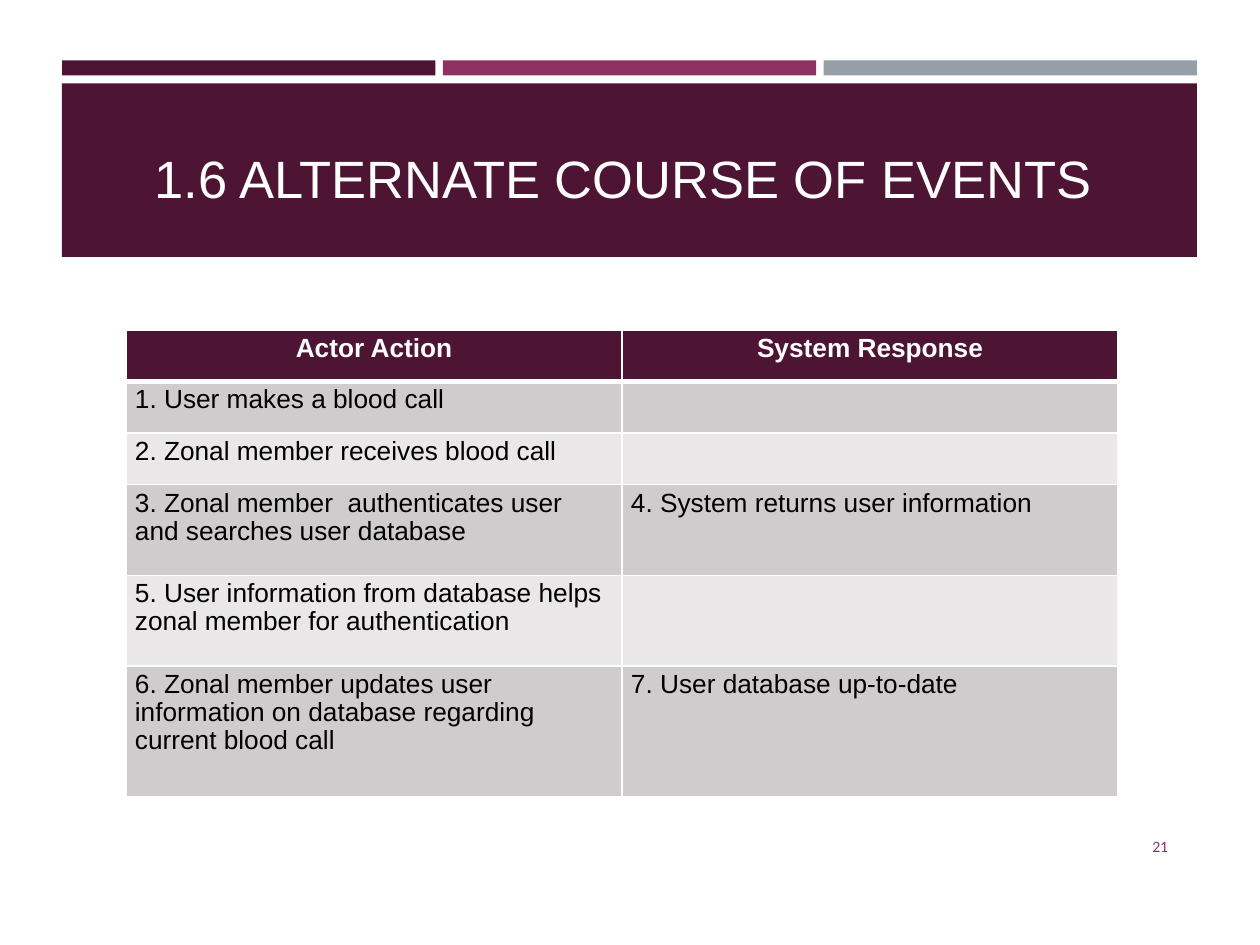
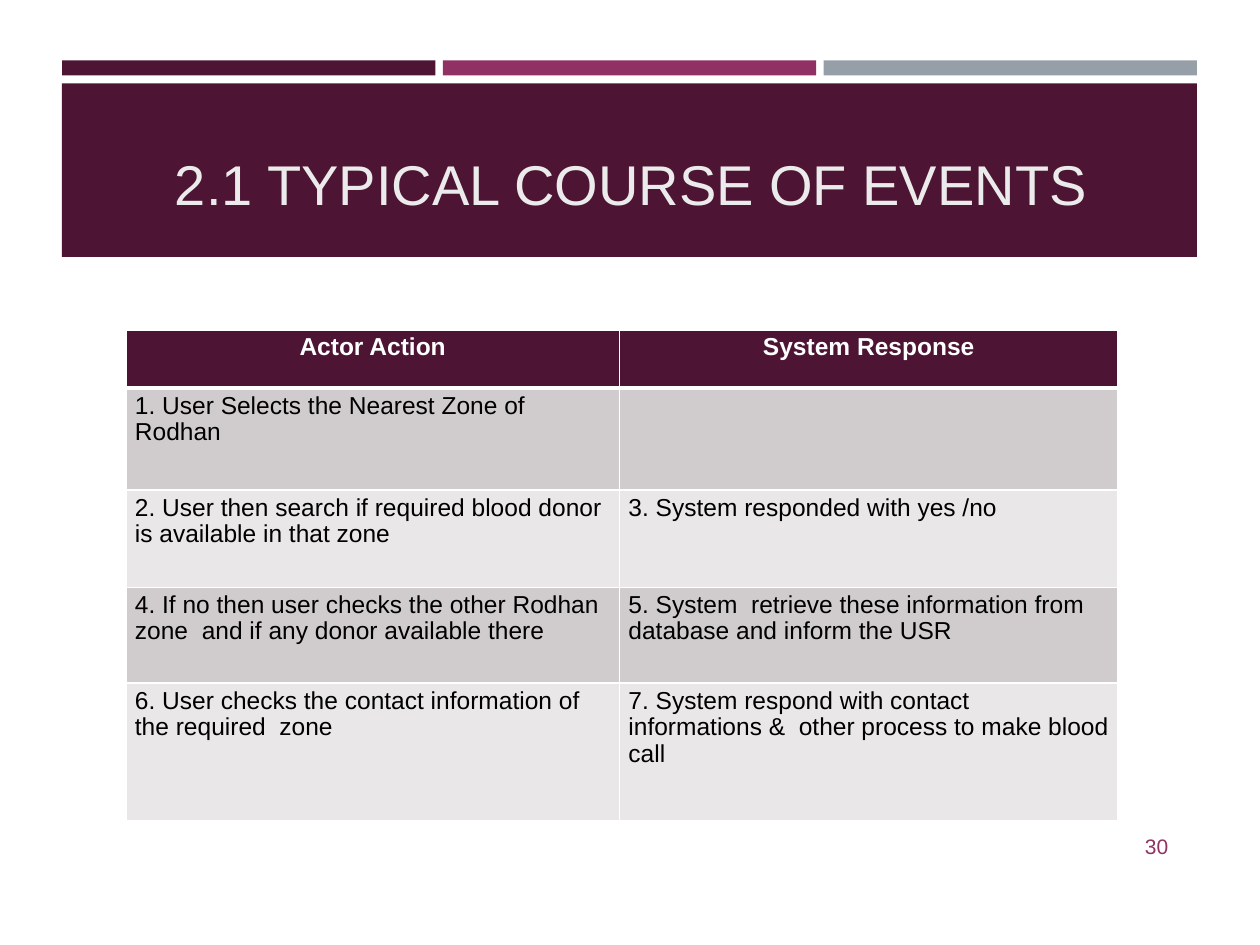
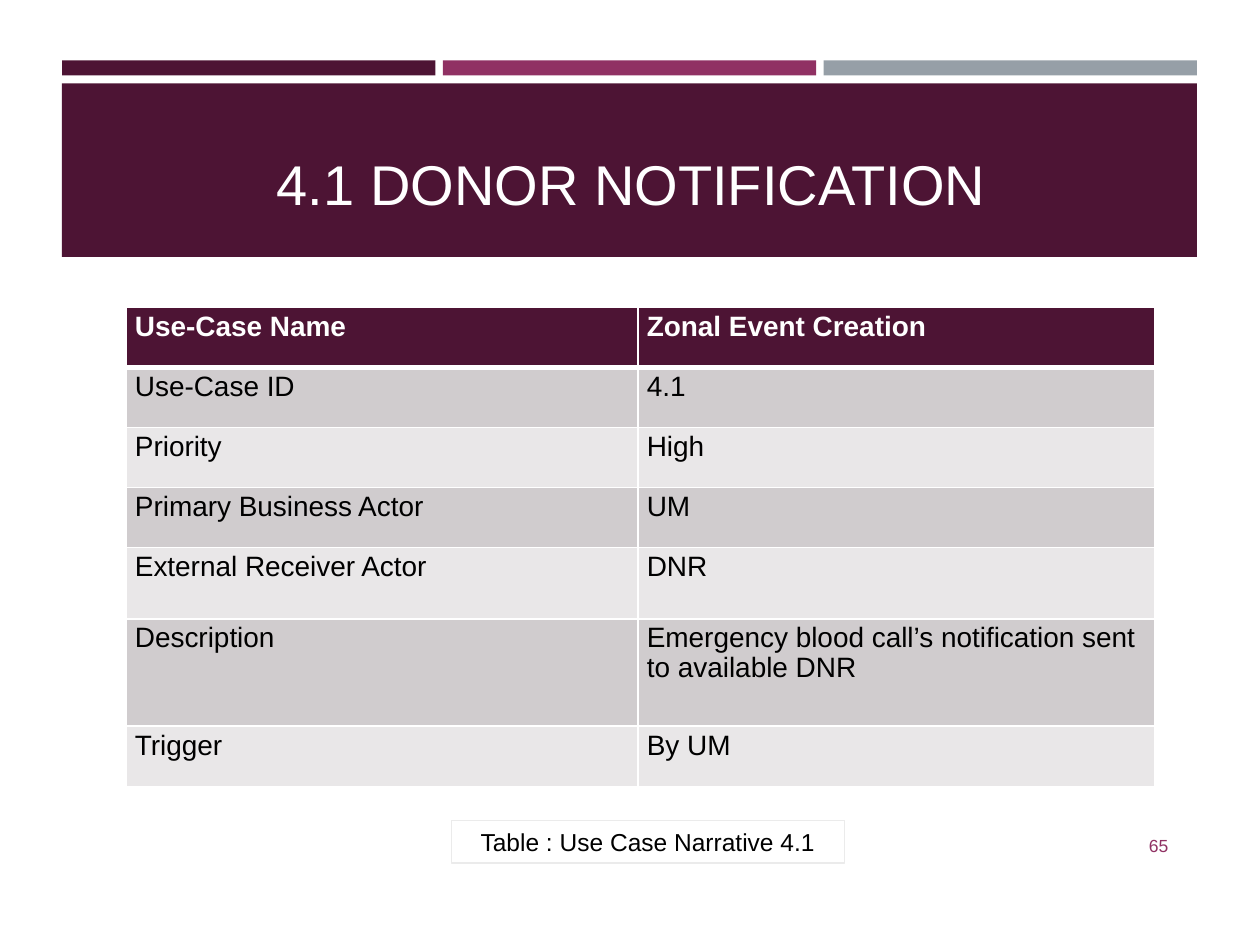
from dataclasses import dataclass
from typing import Any, NamedTuple

import lxml.etree
import pptx
import pptx.dml.color
import pptx.enum.shapes
import pptx.enum.text
import pptx.oxml.ns
import pptx.util

Cm = pptx.util.Cm
Pt = pptx.util.Pt
ALIGN = pptx.enum.text.PP_ALIGN
ANCHOR = pptx.enum.text.MSO_ANCHOR


@dataclass(frozen=True)
class Theme:
    plum: str = "4D1434"
    magenta: str = "903163"
    slate: str = "969FA7"
    white: str = "FFFFFF"
    pale: str = "EBEBEB"
    black: str = "000000"
    row_dark: str = "D0CCCE"
    row_light: str = "E9E7E8"
    font: str = "Arial"
    number_font: str = "Calibri"
    caption_size: float = 14
    rule: float = 1
    header_rule: float = 3
    caption_line: float = 0.75
    table_spacing: float = 0.96


THEME = Theme()


class Box(NamedTuple):
    """A rectangle in centimetres."""
    left: float
    top: float
    width: float
    height: float

    def emu(self) -> list[int]:
        return [Cm(v) for v in self]


class Style(NamedTuple):
    size: float
    color: str
    font: str = THEME.font
    bold: bool = False
    align: Any = ALIGN.LEFT
    spacing: float = 1.0


@dataclass(frozen=True)
class TableSpec:
    top: float
    size: float
    widths: list[float]
    heights: list[float]
    rows: list[tuple[str, str]]
    header_align: Any = ALIGN.CENTER


@dataclass(frozen=True)
class Page:
    title: str
    title_box: Box
    title_style: Style
    table: TableSpec
    number: str
    number_style: Style
    caption: str = ""


BAND = Box(1.25, 1.22, 22.88, 0.3)
BAND_GAP = 0.15
TITLE_BLOCK = Box(1.25, 1.68, 22.88, 3.5)
NARROW_TITLE = Box(2.41, 2.54, 20.32, 1.8)
WIDE_TITLE = Box(1.63, 2.54, 22.2, 1.96)
NUMBER_BOX = Box(21.67, 16.54, 2.13, 1.02)
CAPTION_BOX = Box(9.1, 16.54, 7.92, 0.86)
TABLE_LEFT = 2.54


def title_style(size: float, color: str = THEME.white) -> Style:
    return Style(size, color, align=ALIGN.CENTER)


def number_style(size: float, font: str = THEME.font) -> Style:
    return Style(size, THEME.magenta, font, align=ALIGN.RIGHT)


def rgb(color: str) -> pptx.dml.color.RGBColor:
    return pptx.dml.color.RGBColor.from_string(color)


def set_all(target: Any, formats: dict[str, Any]) -> None:
    for name, value in formats.items():
        setattr(target, name, value)


def write(tf: Any, text: str, style: Style) -> None:
    p = tf.paragraphs[0]
    set_all(p, {"alignment": style.align, "line_spacing": style.spacing})
    r = p.add_run()
    r.text = text
    set_all(r.font, {"name": style.font, "size": Pt(style.size), "bold": style.bold})
    r.font.color.rgb = rgb(style.color)


def add_rect(s: Any, box: Box, fill: str = "", line: str = "") -> Any:
    sp = s.shapes.add_shape(pptx.enum.shapes.MSO_SHAPE.RECTANGLE, *box.emu())
    sp.shadow.inherit = False
    if fill:
        sp.fill.solid()
        sp.fill.fore_color.rgb = rgb(fill)
    else:
        sp.fill.background()
    if line:
        sp.line.color.rgb = rgb(line)
        sp.line.width = Pt(THEME.caption_line)
    else:
        sp.line.fill.background()
    return sp


def add_text(s: Any, box: Box, text: str, style: Style, anchor: Any) -> None:
    tf = s.shapes.add_textbox(*box.emu()).text_frame
    set_all(tf, {"word_wrap": True, "vertical_anchor": anchor})
    write(tf, text, style)


def add_frame(s: Any) -> None:
    """Draw the three colour bands and the title block."""
    colors = (THEME.plum, THEME.magenta, THEME.slate)
    width = (BAND.width - BAND_GAP * (len(colors) - 1)) / len(colors)
    for i, color in enumerate(colors):
        left = BAND.left + i * (width + BAND_GAP)
        add_rect(s, BAND._replace(left=left, width=width), color)
    add_rect(s, TITLE_BLOCK, THEME.plum)


def set_borders(cell: Any, top: float, bottom: float) -> None:
    qn = pptx.oxml.ns.qn
    tc_pr = cell._tc.get_or_add_tcPr()
    widths = {"a:lnL": THEME.rule, "a:lnR": THEME.rule, "a:lnT": top, "a:lnB": bottom}
    for tag, width in widths.items():
        ln = lxml.etree.SubElement(tc_pr, qn(tag), w=str(Pt(width)))
        fill = lxml.etree.SubElement(ln, qn("a:solidFill"))
        lxml.etree.SubElement(fill, qn("a:srgbClr"), val=THEME.white)


def add_table(s: Any, spec: TableSpec) -> None:
    box = Box(TABLE_LEFT, spec.top, sum(spec.widths), sum(spec.heights))
    table = s.shapes.add_table(len(spec.rows), len(spec.widths), *box.emu()).table
    for column, width in zip(table.columns, spec.widths):
        column.width = Cm(width)
    for row, height in zip(table.rows, spec.heights):
        row.height = Cm(height)

    header = Style(spec.size, THEME.white, bold=True, align=spec.header_align,
                   spacing=THEME.table_spacing)
    body = Style(spec.size, THEME.black, spacing=THEME.table_spacing)
    margins = {"margin_left": Cm(0.18), "margin_right": Cm(0.18),
               "margin_top": Cm(0.1), "margin_bottom": Cm(0.1)}
    for i, texts in enumerate(spec.rows):
        stripe = THEME.row_dark if i % 2 else THEME.row_light
        for j, text in enumerate(texts):
            cell = table.cell(i, j)
            set_all(cell, margins)
            set_borders(cell, THEME.header_rule if i == 1 else THEME.rule,
                        THEME.header_rule if i == 0 else THEME.rule)
            cell.fill.solid()
            cell.fill.fore_color.rgb = rgb(stripe if i else THEME.plum)
            if text:
                write(cell.text_frame, text, body if i else header)


def add_caption(s: Any, text: str) -> None:
    tf = add_rect(s, CAPTION_BOX, line=THEME.pale).text_frame
    set_all(tf, {"word_wrap": True, "vertical_anchor": ANCHOR.MIDDLE})
    write(tf, text, Style(THEME.caption_size, THEME.black, align=ALIGN.CENTER))


def add_page(prs: Any, page: Page) -> None:
    s = prs.slides.add_slide(prs.slide_layouts[6])
    add_frame(s)
    add_text(s, page.title_box, page.title, page.title_style, ANCHOR.BOTTOM)
    add_table(s, page.table)
    add_text(s, NUMBER_BOX, page.number, page.number_style, ANCHOR.MIDDLE)
    if page.caption:
        add_caption(s, page.caption)


EVENT_HEADER = ("Actor Action", "System Response")

PAGES = [
    Page(
        "1.6 ALTERNATE COURSE OF EVENTS", NARROW_TITLE, title_style(30),
        TableSpec(6.65, 15, [10, 10], [1.04, 1.04, 1.04, 1.83, 1.83, 2.64], [
            EVENT_HEADER,
            ("1. User makes a blood call", ""),
            ("2. Zonal member receives blood call", ""),
            ("3. Zonal member  authenticates user and searches user database",
             "4. System returns user information"),
            ("5. User information from database helps zonal member for authentication", ""),
            ("6. Zonal member updates user information on database regarding "
             "current blood call", "7. User database up-to-date"),
        ]),
        "21", number_style(9, THEME.number_font),
    ),
    Page(
        "2.1 TYPICAL COURSE OF EVENTS", WIDE_TITLE, title_style(32, THEME.pale),
        TableSpec(6.65, 14, [9.95, 10.05], [1.17, 2.06, 1.96, 1.93, 2.77], [
            EVENT_HEADER,
            ("1. User Selects the Nearest Zone of Rodhan", ""),
            ("2. User then search if required blood donor is available in that zone",
             "3. System responded with yes /no"),
            ("4. If no then user checks the other Rodhan zone  and if any donor "
             "available there",
             "5. System  retrieve these information from database and inform the USR"),
            ("6. User checks the contact information of the required  zone",
             "7. System respond with contact informations &  other process to make "
             "blood call"),
        ]),
        "30", number_style(12),
    ),
    Page(
        "4.1 DONOR NOTIFICATION", WIDE_TITLE, title_style(32),
        TableSpec(6.2, 16, [10.32, 10.42], [1.21] * 4 + [1.44, 2.16, 1.21], [
            ("Use-Case Name", "Zonal Event Creation"),
            ("Use-Case ID", "4.1"),
            ("Priority", "High"),
            ("Primary Business Actor", "UM"),
            ("External Receiver Actor", "DNR"),
            ("Description", "Emergency blood call’s notification sent to available DNR"),
            ("Trigger", "By UM"),
        ], ALIGN.LEFT),
        "65", number_style(10), "Table : Use Case Narrative 4.1",
    ),
]


def main() -> None:
    prs = pptx.Presentation()
    set_all(prs, {"slide_width": Cm(25.4), "slide_height": Cm(19.05)})
    for page in PAGES:
        add_page(prs, page)
    prs.save("out.pptx")


if __name__ == "__main__":
    main()
